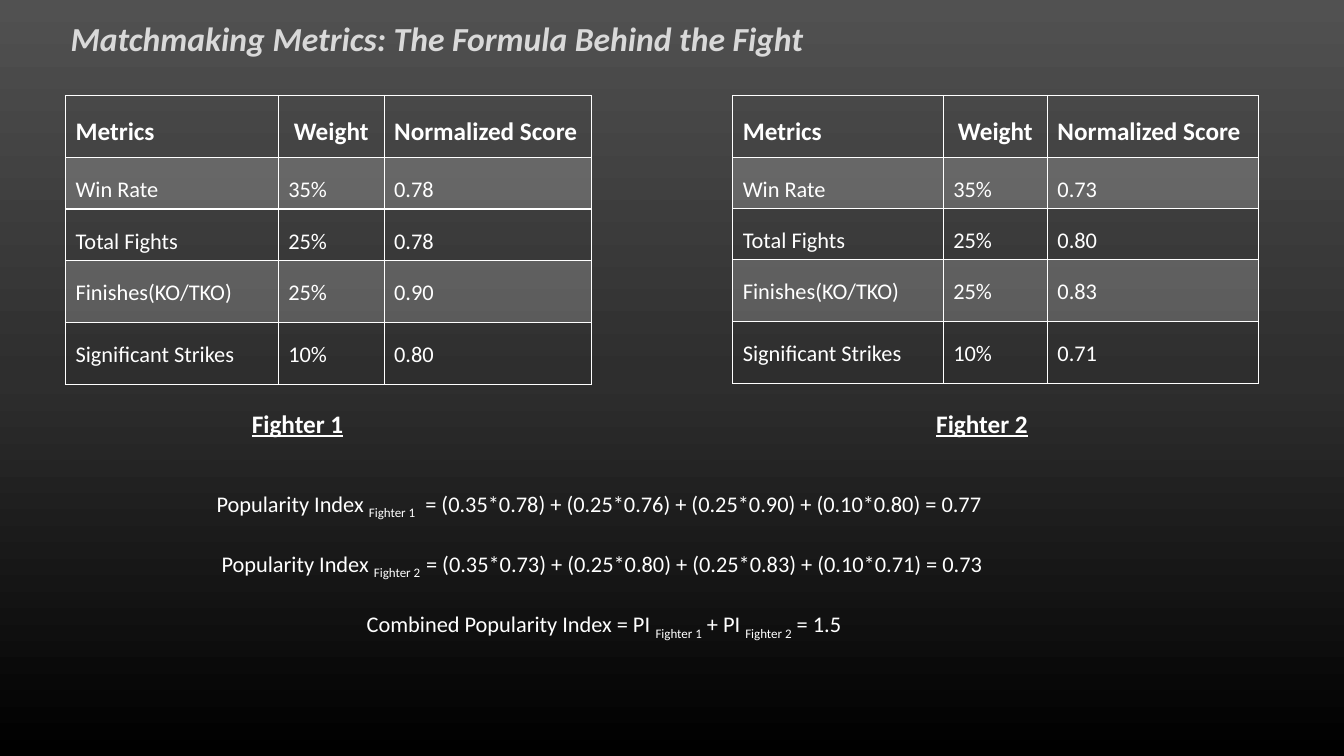
import copy

import pptx
import pptx.dml.color
import pptx.enum.text
import pptx.oxml
import pptx.oxml.ns
import pptx.util

Pt = pptx.util.Pt
qn = pptx.oxml.ns.qn
ALIGN = pptx.enum.text.PP_ALIGN
ANCHOR = pptx.enum.text.MSO_ANCHOR

# Content
TITLE = "Matchmaking Metrics: The Formula Behind the Fight"
HEADERS = ["Metrics", "Weight", "Normalized Score"]
METRICS = [
    ("Win Rate", "35%"),
    ("Total Fights", "25%"),
    ("Finishes(KO/TKO)", "25%"),
    ("Significant Strikes", "10%"),
]
FIGHTERS = [
    {"name": "Fighter 1", "scores": ["0.78", "0.78", "0.90", "0.80"],
     "table_left": 46.8, "columns": [152, 75.6, 148.2], "name_left": 172.8},
    {"name": "Fighter 2", "scores": ["0.73", "0.80", "0.83", "0.71"],
     "table_left": 523.4, "columns": [150.4, 74.4, 151], "name_left": 661.7},
]
# Each formula: left, width, then pieces of text; every second piece is a subscript
FORMULAS = [
    (147.6, 576.7, ["Popularity Index ", "Fighter 1",
                    "  = (0.35*0.78) + (0.25*0.76) + (0.25*0.90) + (0.10*0.80) = 0.77"]),
    (151.2, 657.4, ["Popularity Index ", "Fighter 2  ",
                    "= (0.35*0.73) + (0.25*0.80) + (0.25*0.83) + (0.10*0.71) = 0.73"]),
    (254.9, 367.2, ["Combined Popularity Index = PI ", "Fighter 1", " + PI ",
                    "Fighter 2", " = 1.5"]),
]

# Formats and layout
BACKGROUND = [(0, "515151"), (0.5, "2E2E2E"), (1, "000000")]
WHITE = "FFFFFF"
TITLE_FONT = {"size": Pt(24), "bold": True, "italic": True}
HEADER_FONT = {"size": Pt(18), "bold": True}
NAME_FONT = {"size": Pt(18), "bold": True, "underline": True}
BODY_FONT = {"size": Pt(16), "bold": False}
TABLE_TOP = 68.4
ROW_HEIGHTS = [44.3, 36.5, 36.5, 44.3, 44.3]
NAME_TOP = 288
FORMULA_TOP, FORMULA_STEP = 346.3, 43


def color(hex_text):
    return pptx.dml.color.RGBColor.from_string(hex_text)


def add_span(para, text, formats, hex_text=WHITE):
    span = para.add_run()
    span.text = text
    span.font.name = "Calibri"
    span.font.color.rgb = color(hex_text)
    for name, value in formats.items():
        setattr(span.font, name, value)
    return span


def add_text_box(page, left, top, width, height):
    box = page.shapes.add_textbox(Pt(left), Pt(top), Pt(width), Pt(height))
    box.text_frame.word_wrap = True
    return box.text_frame.paragraphs[0]


def format_cell(cell, shaded):
    properties = cell._tc.get_or_add_tcPr()
    for side in ("lnL", "lnR", "lnT", "lnB"):
        properties.append(pptx.oxml.parse_xml(
            f'<a:{side} xmlns:a="http://schemas.openxmlformats.org/drawingml/2006/main" '
            f'w="12700"><a:solidFill><a:srgbClr val="{WHITE}"/></a:solidFill></a:{side}>'))
    if not shaded:
        cell.fill.background()
        return
    cell.fill.solid()
    cell.fill.fore_color.rgb = color(WHITE)
    shade = properties.find(qn("a:solidFill")).find(qn("a:srgbClr"))
    alpha = shade.makeelement(qn("a:alpha"), {"val": "20000"})
    shade.append(alpha)


def add_score_table(page, fighter):
    rows = [HEADERS] + [[*metric, score] for metric, score in zip(METRICS, fighter["scores"])]
    widths = fighter["columns"]
    table = page.shapes.add_table(
        len(rows), len(widths), Pt(fighter["table_left"]), Pt(TABLE_TOP),
        Pt(sum(widths)), Pt(sum(ROW_HEIGHTS))).table
    table.first_row = table.horz_banding = False
    for column, width in zip(table.columns, widths):
        column.width = Pt(width)
    for row_index, values in enumerate(rows):
        table.rows[row_index].height = Pt(ROW_HEIGHTS[row_index])
        for column_index, value in enumerate(values):
            cell = table.cell(row_index, column_index)
            format_cell(cell, shaded=row_index % 2 == 1)
            para = cell.text_frame.paragraphs[0]
            para.line_spacing = 1.5
            if value == "Weight":
                para.alignment = ALIGN.CENTER
            add_span(para, value, BODY_FONT if row_index else HEADER_FONT)


def set_background(page):
    fill = page.background.fill
    fill.gradient()
    fill.gradient_angle = 270
    stop_list = page.element.find(".//" + qn("a:gsLst"))
    stop_list.append(copy.deepcopy(stop_list[0]))
    for stop, (position, hex_text) in zip(fill.gradient_stops, BACKGROUND):
        stop.position = position
        stop.color.rgb = color(hex_text)


def main():
    deck = pptx.Presentation()
    deck.slide_width, deck.slide_height = Pt(960), Pt(540)
    page = deck.slides.add_slide(deck.slide_layouts[5])
    set_background(page)

    # Title
    title = page.shapes.title
    title.left, title.top, title.width, title.height = Pt(43.2), Pt(9.4), Pt(758.9), Pt(36)
    frame = title.text_frame
    frame.vertical_anchor = ANCHOR.TOP
    frame.word_wrap = True
    frame.auto_size = pptx.enum.text.MSO_AUTO_SIZE.NONE
    frame.paragraphs[0].alignment = ALIGN.LEFT
    add_span(frame.paragraphs[0], TITLE, TITLE_FONT, "D9D9D9")

    # Score tables with the fighter names below
    for fighter in FIGHTERS:
        add_score_table(page, fighter)
        para = add_text_box(page, fighter["name_left"], NAME_TOP, 80, 28.8)
        add_span(para, fighter["name"], NAME_FONT)

    # Formulas
    for index, (left, width, pieces) in enumerate(FORMULAS):
        para = add_text_box(page, left, FORMULA_TOP + index * FORMULA_STEP, width, 26.6)
        for piece_index, piece in enumerate(pieces):
            span = add_span(para, piece, BODY_FONT)
            if piece_index % 2:
                span._r.get_or_add_rPr().set("baseline", "-25000")

    deck.save("out.pptx")


if __name__ == "__main__":
    main()
